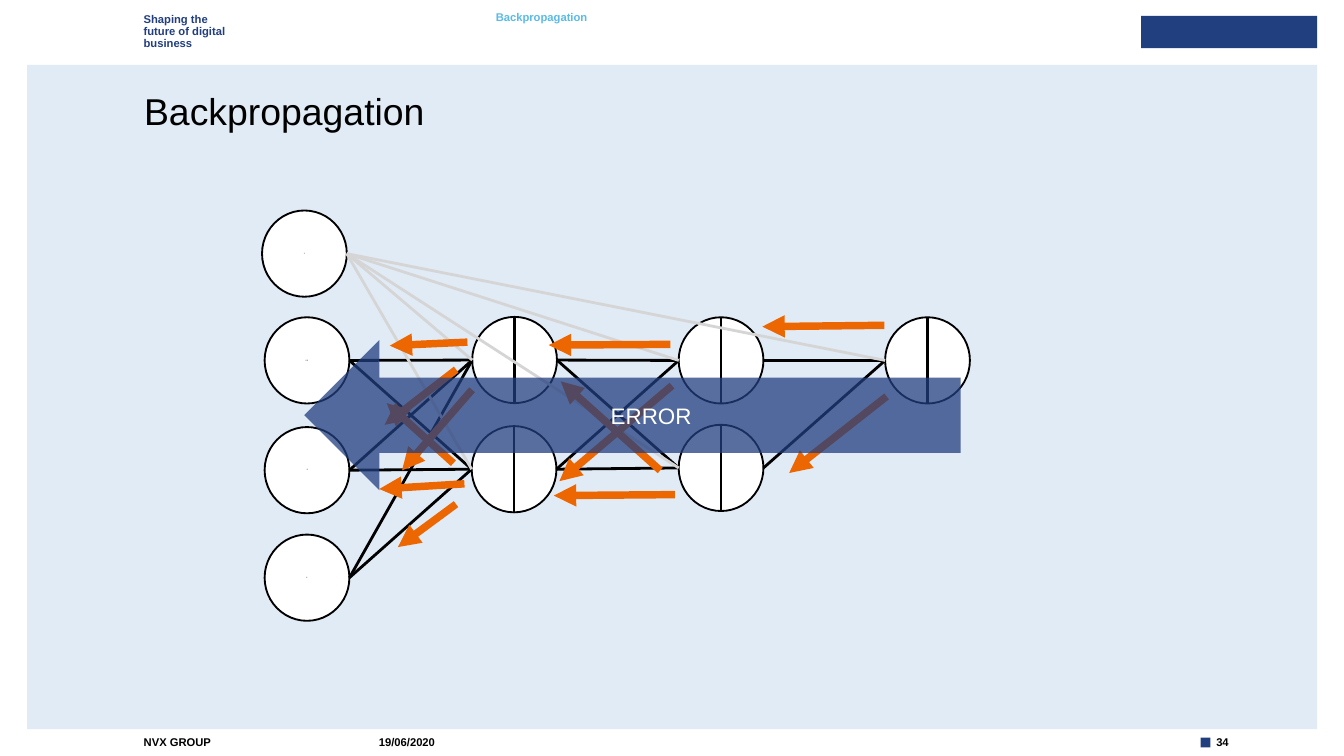
from pptx import Presentation
from pptx.dml.color import RGBColor
from pptx.enum.shapes import MSO_CONNECTOR as Connector, MSO_SHAPE as Shape
from pptx.enum.text import MSO_ANCHOR as Anchor, MSO_AUTO_SIZE as AutoSize, PP_ALIGN as Align
from pptx.oxml.ns import qn
from pptx.util import Pt
from lxml.etree import SubElement

NAVY = RGBColor(0x21, 0x3E, 0x7F)
SKY = RGBColor(0x59, 0xBB, 0xE6)
PALE = RGBColor(0xE1, 0xEB, 0xF5)
GREY = RGBColor(0xD5, 0xD5, 0xD5)
ORANGE = RGBColor(0xEC, 0x66, 0x01)
BLACK = RGBColor(0, 0, 0)
WHITE = RGBColor(0xFF, 0xFF, 0xFF)

NODE_WIDTH, NODE_HEIGHT = 45.4, 46.2
NODES = {
    "bias": (0, 0, "1"),
    "input 1": (1.4, 57.2, "0.5"),
    "input 2": (1.4, 116, "-3"),
    "input 3": (1.4, 173.6, "4"),
    "first 1": (112.6, 57, ""),
    "first 2": (112.3, 115.5, ""),
    "second 1": (223.2, 57.2, ""),
    "second 2": (223.2, 114.8, ""),
    "output": (333.8, 57.2, ""),
}
LAYERS = [
    ["input 1", "input 2", "input 3"],
    ["first 1", "first 2"],
    ["second 1", "second 2"],
    ["output"],
]
ERROR_STEPS = [
    ((333.4, 61.5), (268, 62.2)),
    ((334.6, 99.6), (282.4, 140.6)),
    ((219.6, 93.8), (159.3, 145)),
    ((221.2, 152.2), (156.3, 152.7)),
    ((213.3, 139.2), (160, 91.5)),
    ((218.8, 71.7), (153.6, 72.1)),
    ((110, 70.5), (68.4, 72.4)),
    ((102.5, 135.4), (66.8, 103.2)),
    ((104, 85.2), (65.7, 114.8)),
    ((108.4, 146.4), (62.8, 149.2)),
    ((112.5, 96), (75, 139.2)),
    ((103.9, 157.3), (72.8, 180.3)),
]


def place(item, left, top, width, height):
    """Give an object its position and size in points."""
    frame = {"left": left, "top": top, "width": width, "height": height}
    for name, value in frame.items():
        setattr(item, name, Pt(value))


def write(item, text, size, color, bold=False, align=Align.LEFT,
          anchor=Anchor.TOP, inset=0, spacing=1.0, wrap=True):
    """Fill the text frame of an object with one formatted paragraph."""
    frame = item.text_frame
    layout = {"word_wrap": wrap, "auto_size": AutoSize.NONE, "vertical_anchor": anchor}
    for side in ("left", "right", "top", "bottom"):
        layout[f"margin_{side}"] = Pt(inset)
    for name, value in layout.items():
        setattr(frame, name, value)
    para = frame.paragraphs[0]
    para.text = text
    for name, value in {"alignment": align, "line_spacing": spacing, "space_before": Pt(0)}.items():
        setattr(para, name, value)
    for name, value in {"name": "Arial", "size": Pt(size), "bold": bold}.items():
        setattr(para.font, name, value)
    para.font.color.rgb = color


def label(page, box, text, **style):
    """Add a small bold text box."""
    item = page.shapes.add_textbox(*map(Pt, box))
    write(item, text, 6, style.pop("color", BLACK), bold=True, **style)


def block(page, kind, box, fill, outline=None):
    """Add a filled preset shape, outlined on request."""
    shape = page.shapes.add_shape(kind, *map(Pt, box))
    shape.shadow.inherit = False
    shape.fill.solid()
    shape.fill.fore_color.rgb = fill
    if outline is None:
        shape.line.fill.background()
    else:
        shape.line.color.rgb = outline
        shape.line.width = Pt(1)
    return shape


def link(page, start, end, color=BLACK, width=1.5, arrow=False):
    """Draw a straight line between two points, with an arrowhead on request."""
    line = page.shapes.add_connector(Connector.STRAIGHT, *map(Pt, (*start, *end)))
    line.line.color.rgb = color
    line.line.width = Pt(width)
    properties = line.element.spPr
    if arrow:
        SubElement(properties.find(qn("a:ln")), qn("a:tailEnd"), type="triangle")
    SubElement(properties, qn("a:effectLst"))


def header(page, box):
    """Place the slogan, section name and brand bar in the top band."""
    left, top, width, height = box
    label(page, (left + 77, top + 7.2, 62.6, 19.5),
          "Shaping the \vfuture of digital \vbusiness", color=NAVY, spacing=0.9)
    section = page.placeholders[1]
    place(section, left + 265.6, top + 6.5, 57, 19.5)
    write(section, "Backpropagation", 6, SKY, bold=True, spacing=0.9)
    settings = section.text_frame.paragraphs[0].font
    properties = section.element.find(".//" + qn("a:pPr"))
    for name in ("marL", "indent"):
        properties.set(name, "0")
    bullet = SubElement(properties, qn("a:buNone"))
    properties.find(qn("a:defRPr")).addprevious(bullet)
    settings.bold = True
    block(page, Shape.RECTANGLE, (left + width - 94.3, top + 8.5, 94.3, 17.3), NAVY)


def panel(page, box):
    """Place the pale panel and the slide title on it."""
    left, top, width, height = box
    backdrop = block(page, Shape.RECTANGLE, box, PALE)
    tree = backdrop.element.getparent()
    tree.insert(2, backdrop.element)
    title = page.shapes.title
    place(title, left + 62.6, top + 15, 566, 21.6)
    write(title, "Backpropagation", 20, BLACK, spacing=0.9)


def network(page, box):
    """Draw the neurons, their weighted links and the error flowing back."""
    left, top, width, height = box
    inlet, outlet = {}, {}
    for name, (x, y, value) in NODES.items():
        x, y = left + x, top + y
        middle = y + NODE_HEIGHT / 2
        inlet[name], outlet[name] = (x, middle), (x + NODE_WIDTH, middle)
        neuron = block(page, Shape.OVAL, (x, y, NODE_WIDTH, NODE_HEIGHT), WHITE, BLACK)
        if value:
            write(neuron, value, 1, BLACK, align=Align.CENTER, anchor=Anchor.MIDDLE, inset=8.6)
        else:
            center = x + NODE_WIDTH / 2
            link(page, (center, y), (center, y + NODE_HEIGHT))
    for sources, targets in zip(LAYERS, LAYERS[1:]):
        for target in targets:
            for source in sources:
                link(page, outlet[source], inlet[target])
            link(page, outlet["bias"], inlet[target], GREY)
    for start, end in ERROR_STEPS:
        link(page, (left + start[0], top + start[1]), (left + end[0], top + end[1]),
             ORANGE, 4, arrow=True)
    error = block(page, Shape.LEFT_ARROW, (left + 22.6, top + 69.4, 351.6, 80.5), NAVY)
    color = error.element.spPr.find(".//" + qn("a:srgbClr"))
    SubElement(color, qn("a:alpha"), val="75000")
    write(error, "ERROR", 12, WHITE, align=Align.CENTER, anchor=Anchor.MIDDLE, inset=8.6)


def footer(page, box):
    """Place the company, date and page number in the bottom band."""
    left, top, width, height = box
    for x, span, text in ((77, 123.8, "NVX GROUP"), (203, 30.2, "19/06/2020"), (651.6, 12.2, "34")):
        label(page, (left + x, top, span, height), text, anchor=Anchor.MIDDLE, wrap=x == 77)
    block(page, Shape.RECTANGLE, (left + 643.2, top + 1.2, 5.2, 5.2), NAVY)


def main():
    """Build the deck and save it."""
    deck = Presentation()
    deck.slide_width, deck.slide_height = Pt(720), Pt(405)
    page = deck.slides.add_slide(deck.slide_layouts[1])
    panel(page, (14.6, 34.8, 691, 355.8))
    header(page, (0, 0, 705.6, 34.8))
    network(page, (140.4, 112.8, 379.2, 219.8))
    footer(page, (0, 394, 720, 7.2))
    deck.save("out.pptx")


if __name__ == "__main__":
    main()
